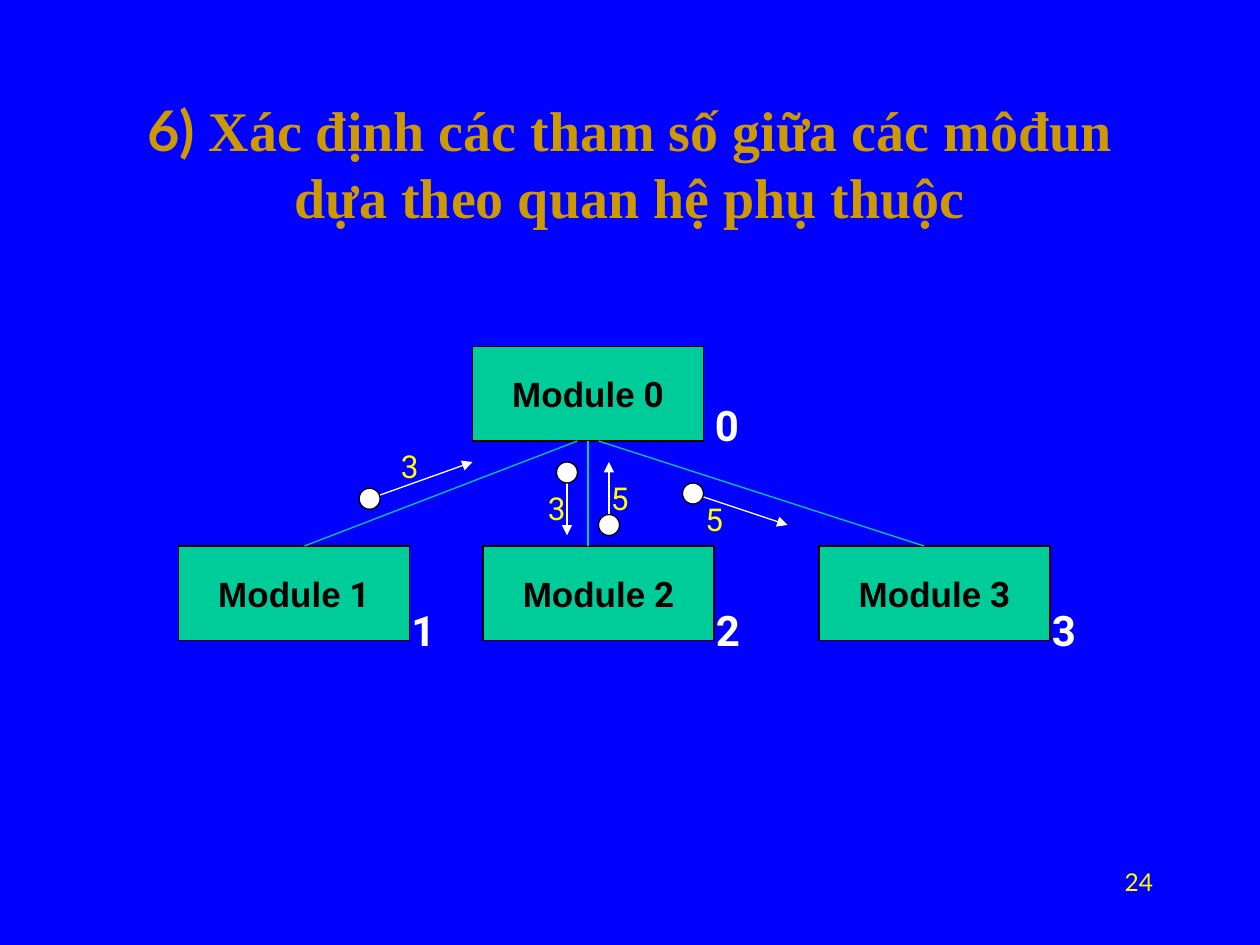
from dataclasses import dataclass

import pptx
import pptx.dml.color
import pptx.enum.shapes
import pptx.enum.text
import pptx.oxml.ns
import pptx.oxml.xmlchemy
import pptx.util

CELL = pptx.util.Inches(1 / 12)
COLUMNS, ROWS = 120, 90
MODULE_WIDTH, MODULE_HEIGHT = 22, 9
CIRCLE_SIZE = 2
BLUE, GREEN, GOLD = "0000FF", "00CC99", "CC9900"
BLACK, WHITE, YELLOW = "000000", "FFFFFF", "FFFF00"
ALIGN = pptx.enum.text.PP_ALIGN
ANCHOR = pptx.enum.text.MSO_ANCHOR
SHAPE = pptx.enum.shapes.MSO_SHAPE


@dataclass
class Run:
    text: str
    size: int
    font: str
    color: str
    bold: bool = False


@dataclass
class Module:
    number: int
    column: float
    row: float
    label_column: float
    label_row: float
    link_column: float


@dataclass
class Parameter:
    value: str
    circle: tuple[float, float]
    start: tuple[float, float]
    end: tuple[float, float]
    label: tuple[float, float]


MODULES = [Module(0, 45, 33, 66.9, 37.5, 56)] + [
    Module(number, column, 52, column + 21, 57, link)
    for number, column, link in ((1, 17, 29), (2, 46, 56), (3, 78, 88))
]
PARAMETERS = [
    Parameter("3", (34.2, 46.5), (35.2, 47.5), (45, 44), (37, 42)),
    Parameter("3", (53, 44), (54, 46), (54, 51), (51, 46)),
    Parameter("5", (57, 49), (58, 49), (58, 44), (57, 45)),
    Parameter("5", (65, 46), (66, 47), (75, 50), (66, 47)),
]


def rgb(color: str) -> pptx.dml.color.RGBColor:
    return pptx.dml.color.RGBColor.from_string(color)


def grid(*lengths: float) -> list[int]:
    return [round(length * CELL) for length in lengths]


def apply(target, values: dict) -> None:
    for name, value in values.items():
        setattr(target, name, value)


def write(shape, runs: list[Run], align=ALIGN.LEFT, anchor=ANCHOR.TOP, wrap: bool = False) -> None:
    apply(shape.text_frame, {"word_wrap": wrap, "vertical_anchor": anchor})
    paragraph = shape.text_frame.paragraphs[0]
    paragraph.alignment = align
    for item in runs:
        run = paragraph.add_run()
        run.text = item.text
        apply(run.font, {"size": pptx.util.Pt(item.size), "name": item.font, "bold": item.bold})
        run.font.color.rgb = rgb(item.color)


def add_text(slide, box: tuple, runs: list[Run], **layout) -> None:
    write(slide.shapes.add_textbox(*grid(*box)), runs, **layout)


def add_shape(slide, kind, box: tuple, fill: str):
    shape = slide.shapes.add_shape(kind, *grid(*box))
    shape.shadow.inherit = False
    shape.fill.solid()
    shape.fill.fore_color.rgb = rgb(fill)
    shape.line.color.rgb = rgb(BLACK)
    shape.line.width = pptx.util.Pt(0.75)
    return shape


def add_line(slide, start: tuple, end: tuple, color: str, arrow: bool = False) -> None:
    connector = slide.shapes.add_connector(
        pptx.enum.shapes.MSO_CONNECTOR.STRAIGHT, *grid(*start, *end)
    )
    connector.line.color.rgb = rgb(color)
    connector.line.width = pptx.util.Pt(0.75)
    properties = connector._element.spPr
    if arrow:
        tail = pptx.oxml.xmlchemy.OxmlElement("a:tailEnd")
        tail.set("type", "triangle")
        properties.find(pptx.oxml.ns.qn("a:ln")).append(tail)
    properties.append(pptx.oxml.xmlchemy.OxmlElement("a:effectLst"))


def add_module(slide, module: Module) -> None:
    box = (module.column, module.row, MODULE_WIDTH, MODULE_HEIGHT)
    shape = add_shape(slide, SHAPE.RECTANGLE, box, GREEN)
    runs = [
        Run("Module", 20, "Arial", BLACK, True),
        Run(f" {module.number}", 20, "Roboto", BLACK, True),
    ]
    write(shape, runs, align=ALIGN.CENTER, anchor=ANCHOR.MIDDLE)
    label = Run(str(module.number), 24, "Roboto", WHITE, True)
    add_text(slide, (module.label_column, module.label_row, 4.7, 6), [label])


def add_links(slide, root: Module, children: list[Module]) -> None:
    for offset, child in enumerate(children, -1):
        start = (root.link_column + offset, root.row + MODULE_HEIGHT)
        add_line(slide, start, (child.link_column, child.row), GREEN)


def add_parameter(slide, parameter: Parameter) -> None:
    add_line(slide, parameter.start, parameter.end, WHITE, arrow=True)
    add_shape(slide, SHAPE.OVAL, (*parameter.circle, CIRCLE_SIZE, CIRCLE_SIZE), WHITE)
    add_text(slide, (*parameter.label, 4.1, 4.8), [Run(parameter.value, 18, "Roboto", YELLOW)])


def main() -> None:
    presentation = pptx.Presentation()
    apply(presentation, {"slide_width": COLUMNS * CELL, "slide_height": ROWS * CELL})
    slide = presentation.slides.add_slide(presentation.slide_layouts[6])
    slide.background.fill.solid()
    slide.background.fill.fore_color.rgb = rgb(BLUE)
    title = [
        Run("6) ", 32, "Lato", GOLD, True),
        Run(
            "Xác định các tham số giữa các môđun dựa theo quan hệ phụ thuộc",
            32, "Times New Roman", GOLD, True,
        ),
    ]
    add_text(slide, (9, 8, 102, 15), title, align=ALIGN.CENTER, anchor=ANCHOR.MIDDLE, wrap=True)
    for module in MODULES:
        add_module(slide, module)
    add_links(slide, MODULES[0], MODULES[1:])
    for parameter in PARAMETERS:
        add_parameter(slide, parameter)
    page_number = Run("24", 14, "Lato", YELLOW)
    add_text(slide, (86, 82, 25, 6), [page_number], align=ALIGN.RIGHT, wrap=True)
    presentation.save("out.pptx")


if __name__ == "__main__":
    main()
